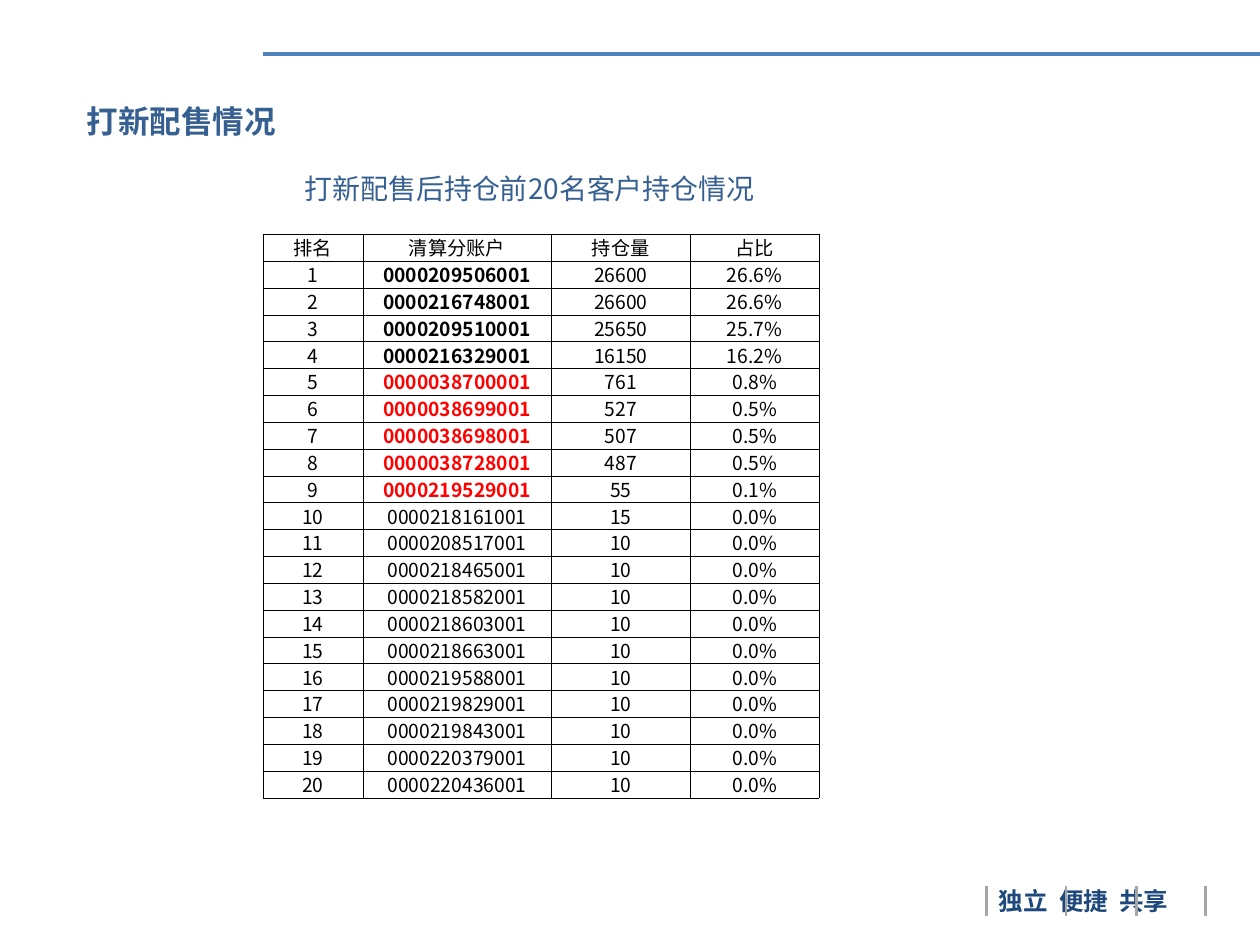
from pptx import Presentation
from pptx.dml.color import RGBColor
from pptx.enum import shapes, text
from pptx.oxml import parse_xml
from pptx.oxml.ns import nsdecls, qn
from pptx.util import Pt

FONT = "Noto Sans CJK SC"
LABELS = [
    ("独立  便捷  共享", 563.76, 502.56, 141.84, 24.48, 14, "1F497D", True),
    ("打新配售情况", 42.48, 54.72, 487.44, 28.8, 18, "376092", True),
    ("打新配售后持仓前20名客户持仓情况", 167.04, 94.32, 289.44, 26.64, 16, "376092", False),
]
HEADERS = ["排名", "清算分账户", "持仓量", "占比"]
HOLDINGS = [
    ("0000209506001", "26600", "26.6%"),
    ("0000216748001", "26600", "26.6%"),
    ("0000209510001", "25650", "25.7%"),
    ("0000216329001", "16150", "16.2%"),
    ("0000038700001", "761", "0.8%"),
    ("0000038699001", "527", "0.5%"),
    ("0000038698001", "507", "0.5%"),
    ("0000038728001", "487", "0.5%"),
    ("0000219529001", "55", "0.1%"),
    ("0000218161001", "15", "0.0%"),
]
SMALL_ACCOUNTS = [
    "0000208517001", "0000218465001", "0000218582001", "0000218603001", "0000218663001",
    "0000219588001", "0000219829001", "0000219843001", "0000220379001", "0000220436001",
]
HOLDINGS += [(account, "10", "0.0%") for account in SMALL_ACCOUNTS]
COLUMN_WIDTHS = [57.1, 107.7, 79.4, 73.5]
ROW_HEIGHT = 15.35
TABLE_LEFT, TABLE_TOP = 150.3, 134
BOLD_RANKS = range(1, 10)
RED_RANKS = range(5, 10)
RULE = (150.3, 31, 723, 31, "4F81BD", 2.25)
DIVIDERS = [(x, 506.2, x, 523.4, "A6A6A6", 1.5) for x in (563.76, 609.12, 649.44, 689.04)]


def color(value):
    return RGBColor.from_string(value)


def style(paragraph, size, fill, bold=False):
    for span in paragraph.runs:
        span.font.name = FONT
        span.font.size = Pt(size)
        span.font.bold = bold
        span.font.color.rgb = color(fill)
        span.font._element.append(parse_xml(f'<a:ea {nsdecls("a")} typeface="{FONT}"/>'))


def add_line(page, x1, y1, x2, y2, stroke, width):
    line = page.shapes.add_connector(shapes.MSO_CONNECTOR.STRAIGHT, Pt(x1), Pt(y1), Pt(x2), Pt(y2))
    line.line.color.rgb = color(stroke)
    line.line.width = Pt(width)
    line._element.spPr.append(parse_xml(f'<a:effectLst {nsdecls("a")}/>'))


def add_label(page, words, left, top, width, height, size, fill, bold):
    box = page.shapes.add_textbox(Pt(left), Pt(top), Pt(width), Pt(height))
    box.text_frame.word_wrap = True
    box.text_frame.text = words
    style(box.text_frame.paragraphs[0], size, fill, bold)


def add_borders(cell):
    properties = cell._tc.get_or_add_tcPr()
    for index, side in enumerate(("lnL", "lnR", "lnT", "lnB")):
        properties.insert(index, parse_xml(
            f'<a:{side} {nsdecls("a")} w="{Pt(0.5)}"><a:solidFill>'
            f'<a:srgbClr val="000000"/></a:solidFill></a:{side}>'))


def fill_cell(cell, words, fill, bold):
    cell.fill.background()
    cell.vertical_anchor = text.MSO_ANCHOR.MIDDLE
    cell.margin_left = cell.margin_right = cell.margin_top = Pt(0.72)
    cell.margin_bottom = 0
    cell.text_frame.text = words
    paragraph = cell.text_frame.paragraphs[0]
    paragraph.alignment = text.PP_ALIGN.CENTER
    paragraph.line_spacing = Pt(14.5)
    style(paragraph, 11, fill, bold)
    add_borders(cell)


def add_holdings(page):
    rows = [HEADERS] + [(str(rank), *holding) for rank, holding in enumerate(HOLDINGS, 1)]
    frame = page.shapes.add_table(len(rows), len(HEADERS), Pt(TABLE_LEFT), Pt(TABLE_TOP),
                                  Pt(sum(COLUMN_WIDTHS)), Pt(ROW_HEIGHT * len(rows)))
    table = frame.table
    table.first_row = table.horz_banding = False
    for column, width in zip(table.columns, COLUMN_WIDTHS):
        column.width = Pt(width)
    for rank, values in enumerate(rows):
        table.rows[rank].height = Pt(ROW_HEIGHT)
        for index, words in enumerate(values):
            is_account = index == 1
            fill = "FF0000" if is_account and rank in RED_RANKS else "000000"
            fill_cell(table.cell(rank, index), words, fill, is_account and rank in BOLD_RANKS)


deck = Presentation()
deck.slide_width, deck.slide_height = Pt(720), Pt(540)
page = deck.slides.add_slide(deck.slide_layouts[6])
footer, *headings = LABELS
add_line(page, *RULE)
add_label(page, *footer)
for divider in DIVIDERS:
    add_line(page, *divider)
add_holdings(page)
for heading in headings:
    add_label(page, *heading)
deck.save("out.pptx")
